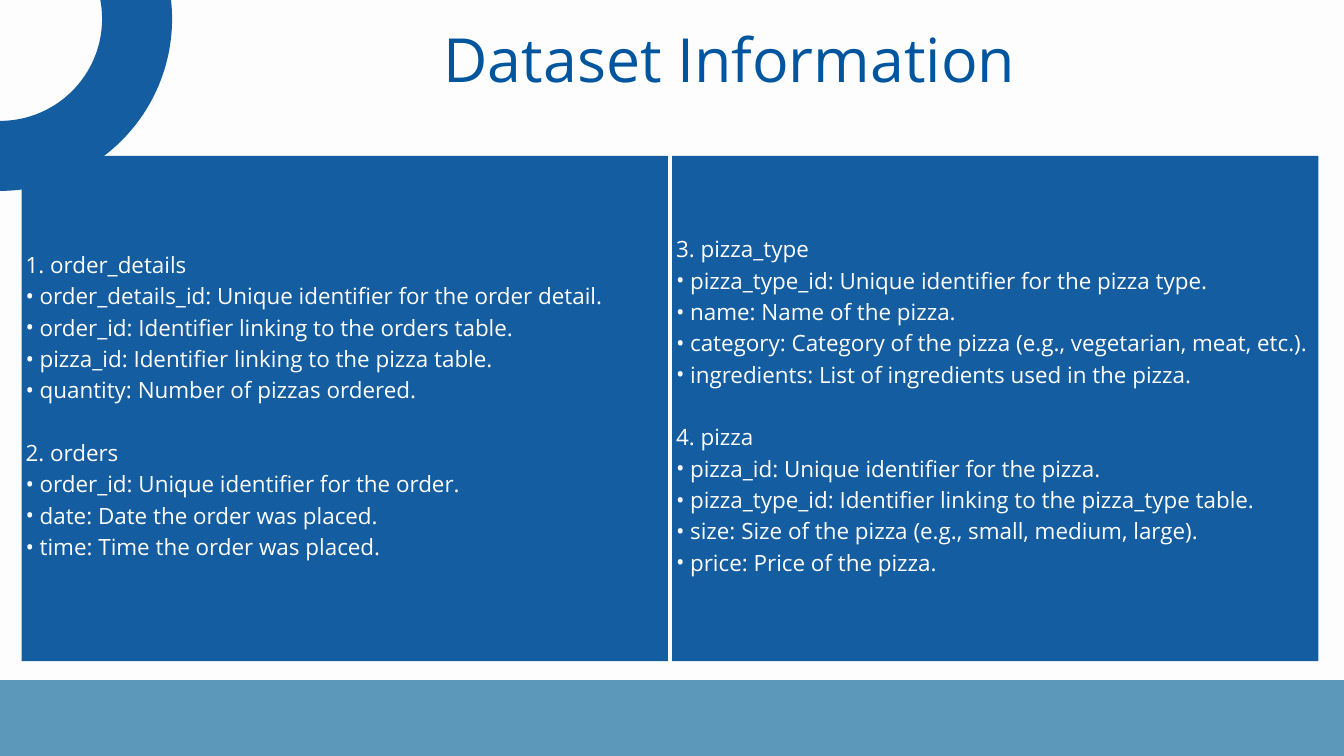
from pptx import Presentation
from pptx.dml.color import RGBColor
from pptx.enum.shapes import MSO_SHAPE as SHAPE
from pptx.enum.text import MSO_ANCHOR as ANCHOR, PP_ALIGN as ALIGN
from pptx.oxml.ns import qn
from pptx.util import Inches, Pt
from lxml import etree

COLORS = {"background": "FDFDFD", "panel": "145DA0", "footer": "5B98BA",
          "title": "00569E", "text": "FFFFFF"}

LEFT_TABLES = [
    ("1. order_details", [
        "order_details_id: Unique identifier for the order detail.",
        "order_id: Identifier linking to the orders table.",
        "pizza_id: Identifier linking to the pizza table.",
        "quantity: Number of pizzas ordered."]),
    ("2. orders", [
        "order_id: Unique identifier for the order.",
        "date: Date the order was placed.",
        "time: Time the order was placed."]),
]
RIGHT_TABLES = [
    ("3. pizza_type", [
        "pizza_type_id: Unique identifier for the pizza type.",
        "name: Name of the pizza.",
        "category: Category of the pizza (e.g., vegetarian, meat, etc.).",
        "ingredients: List of ingredients used in the pizza."]),
    ("4. pizza", [
        "pizza_id: Unique identifier for the pizza.",
        "pizza_type_id: Identifier linking to the pizza_type table.",
        "size: Size of the pizza (e.g., small, medium, large).",
        "price: Price of the pizza."]),
]


class Deck:
    """Hold the style and the current slide, and draw its elements."""

    font = "Open Sans"
    body_size = 24
    body_leading = 33.6
    bullet_indent = 0.21

    def __init__(self, width, height):
        self.prs = Presentation()
        self.prs.slide_width = Inches(width)
        self.prs.slide_height = Inches(height)
        self.slide = self.prs.slides.add_slide(self.prs.slide_layouts[6])
        fill = self.slide.background.fill
        fill.solid()
        fill.fore_color.rgb = self.color("background")

    def color(self, name):
        return RGBColor.from_string(COLORS[name])

    def block(self, x, y, w, h, color):
        s = self.slide.shapes.add_shape(
            SHAPE.RECTANGLE, Inches(x), Inches(y), Inches(w), Inches(h))
        s.shadow.inherit = False
        s.fill.solid()
        s.fill.fore_color.rgb = self.color(color)
        s.line.fill.background()
        return s

    def ring(self, center_x, center_y, radius, thickness, color):
        s = self.slide.shapes.add_shape(
            SHAPE.OVAL, Inches(center_x - radius), Inches(center_y - radius),
            Inches(2 * radius), Inches(2 * radius))
        s.shadow.inherit = False
        s.fill.background()
        s.line.color.rgb = self.color(color)
        s.line.width = Pt(thickness)

    def insets(self, tf, left, top, right, bottom):
        tf.margin_left, tf.margin_top = Inches(left), Inches(top)
        tf.margin_right, tf.margin_bottom = Inches(right), Inches(bottom)
        tf.word_wrap = True

    def set_text(self, p, text, size, leading, color, align):
        p.text = text
        p.alignment = align
        p.line_spacing = Pt(leading)
        font = p.runs[0].font
        font.name, font.size = self.font, Pt(size)
        font.color.rgb = self.color(color)

    def bullet(self, p):
        pPr = p._p.get_or_add_pPr()
        pPr.set("marL", str(Inches(self.bullet_indent)))
        pPr.set("indent", str(-Inches(self.bullet_indent)))
        etree.SubElement(pPr, qn("a:buFont")).set("typeface", self.font)
        etree.SubElement(pPr, qn("a:buChar")).set("char", "•")

    def title(self, text, x, y, w, h):
        s = self.slide.shapes.add_textbox(
            Inches(x), Inches(y), Inches(w), Inches(h))
        tf = s.text_frame
        self.insets(tf, 0, 0, 0, 0)
        self.set_text(tf.paragraphs[0], text, 65.2, 91.3, "title", ALIGN.CENTER)

    def panel(self, tables, x, y, w, h):
        tf = self.block(x, y, w, h, "panel").text_frame
        self.insets(tf, 0.06, 0.06, 0.06, 0.22)
        tf.vertical_anchor = ANCHOR.MIDDLE
        style = (self.body_size, self.body_leading, "text", ALIGN.LEFT)
        for i, (name, columns) in enumerate(tables):
            p = tf.add_paragraph() if i else tf.paragraphs[0]
            self.set_text(p, name, *style)
            if i:
                p.space_before = Pt(self.body_leading)
            for column in columns:
                p = tf.add_paragraph()
                self.set_text(p, column, *style)
                self.bullet(p)

    def save(self):
        self.prs.save("out.pptx")


def main():
    deck = Deck(20, 11.25)
    deck.block(0, 10.12, 20, 1.13, "footer")
    deck.title("Dataset Information", 4.66, 0.14, 12.39, 1.22)
    for x, tables in ((0.32, LEFT_TABLES), (10, RIGHT_TABLES)):
        deck.panel(tables, x, 2.32, 9.62, 7.52)
    deck.ring(0, 0.28, 2.04, 75, "panel")
    deck.save()


if __name__ == "__main__":
    main()
